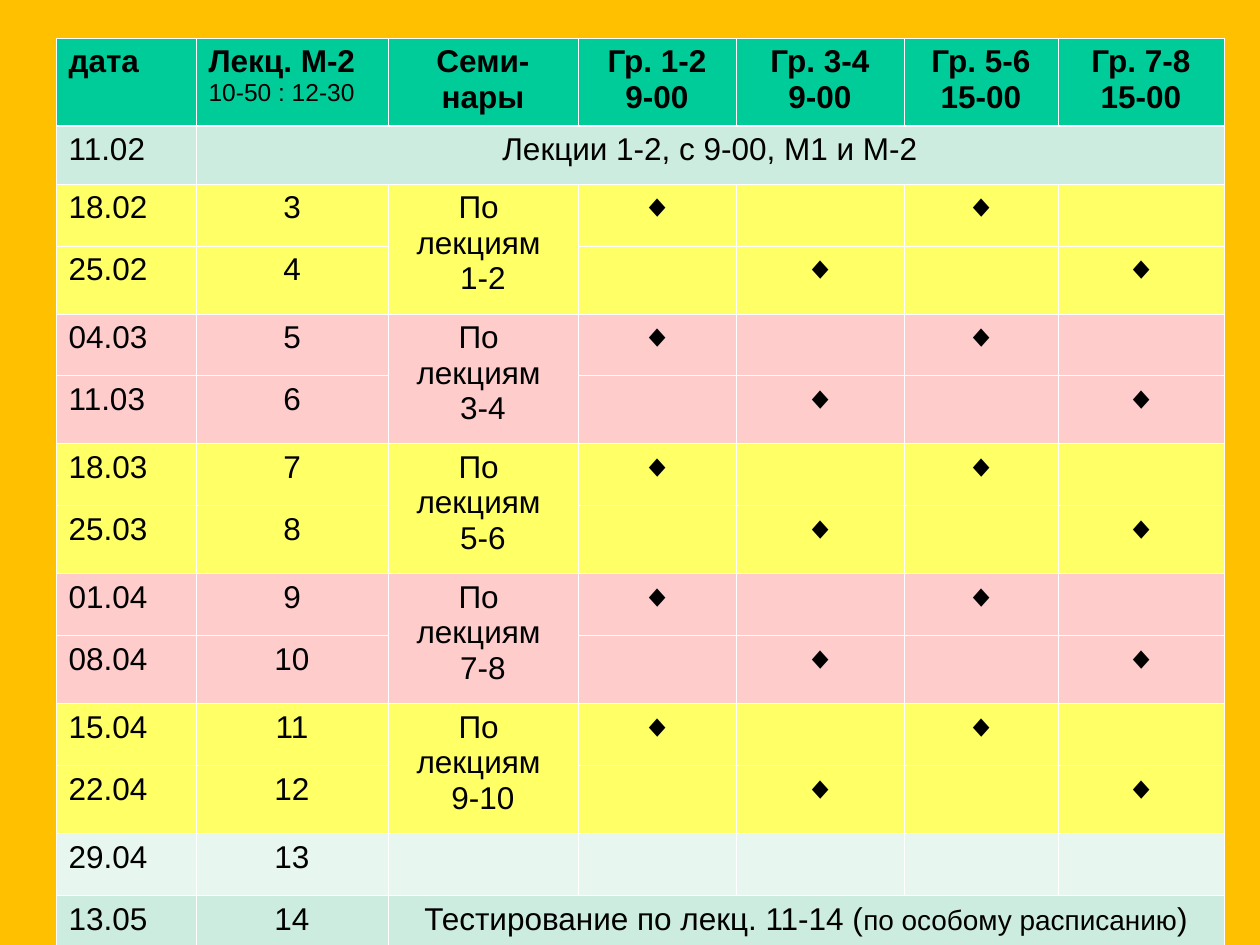
from dataclasses import dataclass

from lxml import etree
from pptx import Presentation
from pptx import util as u
from pptx.dml.color import RGBColor
from pptx.enum import text
from pptx.oxml import ns
from pptx.table import Table, _Cell

PX = u.Inches(1) // 126


@dataclass(frozen=True)
class Theme:
    font: str = "Arial"
    ink: str = "000000"
    background: str = "FFC000"
    border: str = "FFFFFF"
    header: str = "00CC99"
    mint: str = "CBECDE"
    pale_mint: str = "E7F6EF"
    yellow: str = "FFFF66"
    pink: str = "FFCCCC"
    body_size: int = 18
    aside_size: int = 16
    hours_size: int = 14
    thin: float = 0.45
    thick: float = 1.47


THEME = Theme()


@dataclass(frozen=True)
class Run:
    words: str
    size: int = THEME.body_size
    bold: bool = False


Line = tuple[Run, ...]


@dataclass(frozen=True)
class Entry:
    row: int
    column: int
    lines: tuple[Line, ...]
    row_span: int = 1
    column_span: int = 1


@dataclass(frozen=True)
class SeminarPair:
    """Two weeks sharing one seminar topic: groups 1-2 and 5-6 first, the others next."""
    dates: tuple[str, str]
    topic: str
    fill: str


LEFT, TOP = 56, 38
COLUMN_WIDTHS = [140, 192, 190, 158, 168, 154, 166]
HEADER_HEIGHT, EDGE_HEIGHT, FIRST_WEEK, SECOND_WEEK = 88, 58, 62, 68
FIRST_PAIR_ROW = 2
FIRST_LECTURE = 3
MARK = "◆"
MARK_COLUMNS = ((3, 5), (4, 6))

GROUPS = [("Гр. 1-2", "9-00"), ("Гр. 3-4", "9-00"), ("Гр. 5-6", "15-00"), ("Гр. 7-8", "15-00")]
PAIRS = [
    SeminarPair(("18.02", "25.02"), "1-2", THEME.yellow),
    SeminarPair(("04.03", "11.03"), "3-4", THEME.pink),
    SeminarPair(("18.03", "25.03"), "5-6", THEME.yellow),
    SeminarPair(("01.04", "08.04"), "7-8", THEME.pink),
    SeminarPair(("15.04", "22.04"), "9-10", THEME.yellow),
]
REVIEW_ROW = FIRST_PAIR_ROW + 2 * len(PAIRS)
TEST_ROW = REVIEW_ROW + 1

ROW_HEIGHTS = [HEADER_HEIGHT, EDGE_HEIGHT, *[FIRST_WEEK, SECOND_WEEK] * len(PAIRS),
               FIRST_WEEK, EDGE_HEIGHT]
ROW_FILLS = [THEME.header, THEME.mint, *[pair.fill for pair in PAIRS for _ in pair.dates],
             THEME.pale_mint, THEME.mint]


def plain(*lines: str, bold: bool = False) -> tuple[Line, ...]:
    return tuple((Run(words, bold=bold),) for words in lines)


def header_entries() -> list[Entry]:
    lecture = plain("Лекц. М-2", bold=True) + ((Run("10-50 : 12-30", THEME.hours_size),),)
    entries = [Entry(0, 0, plain("дата", bold=True)), Entry(0, 1, lecture),
               Entry(0, 2, plain("Семи-нары", bold=True))]
    return entries + [Entry(0, column, plain(*group, bold=True))
                      for column, group in enumerate(GROUPS, start=3)]


def pair_entries(index: int, pair: SeminarPair) -> list[Entry]:
    first_row = FIRST_PAIR_ROW + 2 * index
    entries = [Entry(first_row, 2, plain("По ", "лекциям ", pair.topic), row_span=2)]
    for week, date in enumerate(pair.dates):
        row = first_row + week
        lecture = FIRST_LECTURE + 2 * index + week
        entries += [Entry(row, 0, plain(date)), Entry(row, 1, plain(str(lecture)))]
        entries += [Entry(row, column, plain(MARK)) for column in MARK_COLUMNS[week]]
    return entries


def closing_entries() -> list[Entry]:
    test = (Run("Тестирование по лекц. 11-14 ("),
            Run("по особому расписанию", THEME.aside_size), Run(")"))
    return [
        Entry(REVIEW_ROW, 0, plain("29.04")), Entry(REVIEW_ROW, 1, plain("13")),
        Entry(TEST_ROW, 0, plain("13.05")), Entry(TEST_ROW, 1, plain("14")),
        Entry(TEST_ROW, 2, (test,), column_span=5),
    ]


def set_borders(cell: _Cell, row: int) -> None:
    """Thin lines all round, thick where the header meets the body."""
    properties = cell._tc.get_or_add_tcPr()
    thick_side = {0: "B", 1: "T"}.get(row)
    for side in "LRTB":
        width = THEME.thick if side == thick_side else THEME.thin
        line = etree.SubElement(properties, ns.qn(f"a:ln{side}"), w=str(u.Pt(width)))
        fill = etree.SubElement(line, ns.qn("a:solidFill"))
        etree.SubElement(fill, ns.qn("a:srgbClr"), val=THEME.border)


def write_entry(table: Table, entry: Entry) -> None:
    cell = table.cell(entry.row, entry.column)
    if entry.row_span > 1 or entry.column_span > 1:
        cell.merge(table.cell(entry.row + entry.row_span - 1,
                              entry.column + entry.column_span - 1))
    left_aligned = entry.column == 0 or (entry.row, entry.column) == (0, 1)
    frame = cell.text_frame
    for index, line in enumerate(entry.lines):
        paragraph = frame.add_paragraph() if index else frame.paragraphs[0]
        paragraph.alignment = text.PP_ALIGN.LEFT if left_aligned else text.PP_ALIGN.CENTER
        base = line[0]
        paragraph.font.name = THEME.font
        paragraph.font.size = u.Pt(base.size)
        paragraph.font.bold = base.bold
        paragraph.font.color.rgb = RGBColor.from_string(THEME.ink)
        for piece in line:
            run = paragraph.add_run()
            run.text = piece.words
            if piece.size != base.size:
                run.font.size = u.Pt(piece.size)


def add_schedule(slide) -> Table:
    shape = slide.shapes.add_table(
        len(ROW_HEIGHTS), len(COLUMN_WIDTHS), LEFT * PX, TOP * PX,
        sum(COLUMN_WIDTHS) * PX, sum(ROW_HEIGHTS) * PX)
    table = shape.table
    table.first_row = table.horz_banding = False
    for column, width in zip(table.columns, COLUMN_WIDTHS):
        column.width = width * PX
    for index, (row, height, fill) in enumerate(zip(table.rows, ROW_HEIGHTS, ROW_FILLS)):
        row.height = height * PX
        for cell in row.cells:
            set_borders(cell, index)
            cell.fill.solid()
            cell.fill.fore_color.rgb = RGBColor.from_string(fill)
    return table


def main() -> None:
    presentation = Presentation()
    presentation.slide_width = 1260 * PX
    presentation.slide_height = 945 * PX
    slide = presentation.slides.add_slide(presentation.slide_layouts[6])
    slide.background.fill.solid()
    slide.background.fill.fore_color.rgb = RGBColor.from_string(THEME.background)

    table = add_schedule(slide)
    opening = [Entry(1, 0, plain("11.02")),
               Entry(1, 1, plain("Лекции 1-2, с 9-00, М1 и М-2"), column_span=6)]
    weeks = [entry for index, pair in enumerate(PAIRS) for entry in pair_entries(index, pair)]
    for entry in header_entries() + opening + weeks + closing_entries():
        write_entry(table, entry)
    presentation.save("out.pptx")


if __name__ == "__main__":
    main()
